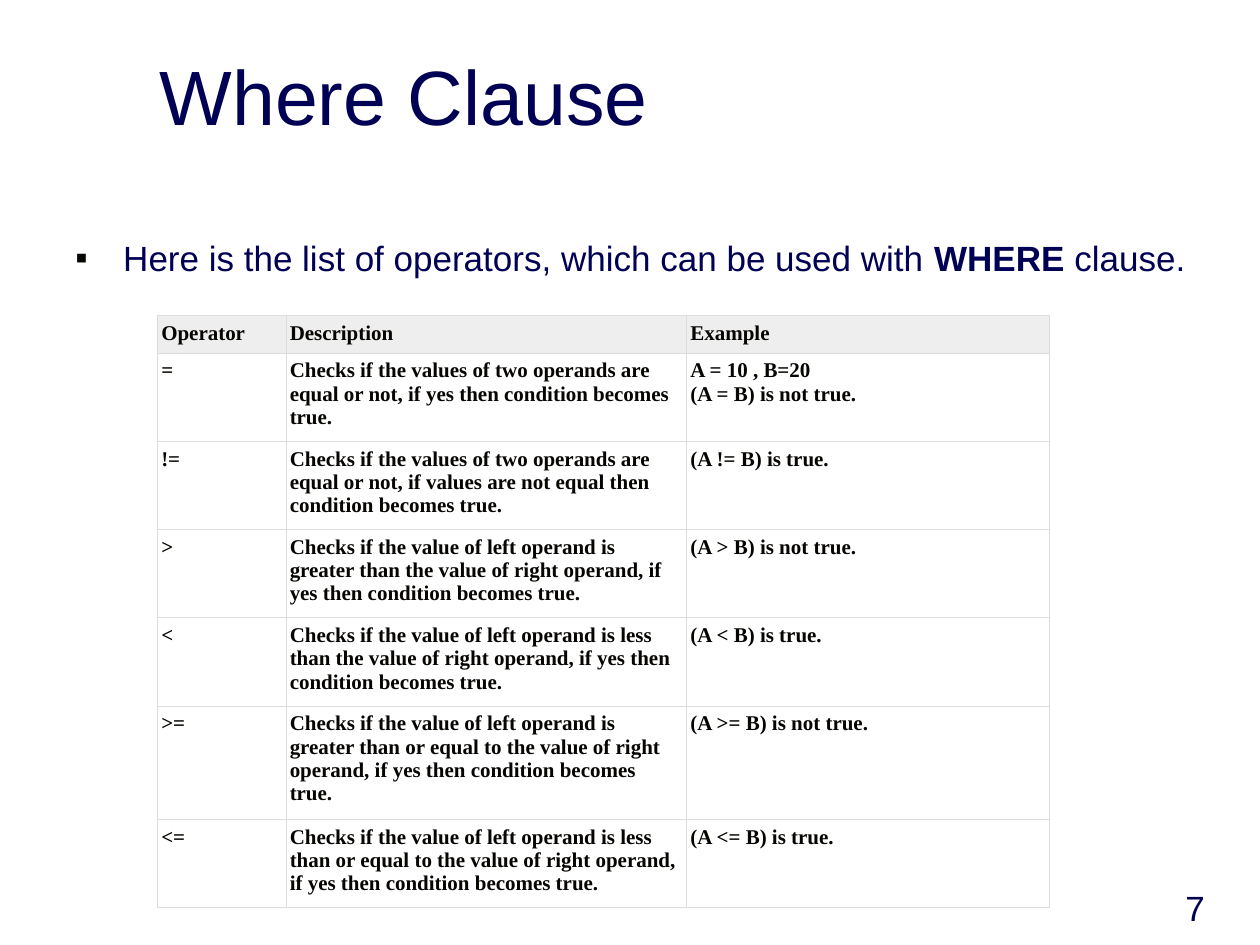
from typing import NamedTuple

from lxml.etree import SubElement
from pptx import Presentation
from pptx.dml.color import RGBColor
from pptx.enum.text import MSO_ANCHOR as Anchor, PP_ALIGN as Align
from pptx.oxml.ns import qn
from pptx.util import Inches, Pt

NAVY, INK, HEADER_FILL, BORDER = "000054", "070501", "EEEEEE", "DDDDDD"
BORDER_WIDTH = Pt(0.34)
COLUMN_WIDTHS = (1.02, 3.18, 2.88)
HEADER_HEIGHT, LINE_HEIGHT, ROW_HEIGHT = 0.28, 0.2, 0.67


class Operator(NamedTuple):
    symbol: str
    description: str
    example: str
    extra_lines: int = 0


HEADER = Operator("Operator", "Description", "Example")
OPERATORS = [
    Operator("=", "Checks if the values of two operands are equal or not, "
             "if yes then condition becomes true.", "A = 10 , B=20\n(A = B) is not true."),
    Operator("!=", "Checks if the values of two operands are equal or not, "
             "if values are not equal then condition becomes true.", "(A != B) is true."),
    Operator(">", "Checks if the value of left operand is greater than the value "
             "of right operand, if yes then condition becomes true.", "(A > B) is not true."),
    Operator("<", "Checks if the value of left operand is less than the value "
             "of right operand, if yes then condition becomes true.", "(A < B) is true."),
    Operator(">=", "Checks if the value of left operand is greater than or equal to the value "
             "of right operand, if yes then condition becomes true.", "(A >= B) is not true.", 1),
    Operator("<=", "Checks if the value of left operand is less than or equal to the value "
             "of right operand, if yes then condition becomes true.", "(A <= B) is true."),
]


def color(value: str) -> RGBColor:
    return RGBColor.from_string(value)


def style_span(span, size: float, font: str, ink: str, bold: bool = False) -> None:
    span.font.size = Pt(size)
    span.font.name = font
    span.font.color.rgb = color(ink)
    span.font.bold = bold


def add_text(page, left: float, top: float, width: float, height: float, text: str,
             size: float, anchor=Anchor.TOP, align=Align.LEFT):
    """Add a navy text box and return its paragraph."""
    box = page.shapes.add_textbox(Inches(left), Inches(top), Inches(width), Inches(height))
    frame = box.text_frame
    frame.word_wrap = True
    frame.vertical_anchor = anchor
    frame.text = text
    para = frame.paragraphs[0]
    para.alignment = align
    style_span(para.runs[0], size, "Arial", NAVY)
    return para


def add_bullet(para, mark: str, ink: str, indent: float) -> None:
    properties = para._p.get_or_add_pPr()
    properties.set("marL", str(Inches(indent)))
    properties.set("indent", str(-Inches(indent)))
    bullet_color = SubElement(properties, qn("a:buClr"))
    SubElement(bullet_color, qn("a:srgbClr"), val=ink)
    SubElement(properties, qn("a:buFont"), typeface="Arial")
    SubElement(properties, qn("a:buChar"), char=mark)


def add_borders(cell) -> None:
    properties = cell._tc.get_or_add_tcPr()
    for index, side in enumerate(("lnL", "lnR", "lnT", "lnB")):
        line = properties.makeelement(qn(f"a:{side}"), {"w": str(BORDER_WIDTH)})
        fill = SubElement(line, qn("a:solidFill"))
        SubElement(fill, qn("a:srgbClr"), val=BORDER)
        properties.insert(index, line)


def fill_cell(cell, text: str, is_header: bool) -> None:
    cell.margin_left = cell.margin_right = Inches(0.03)
    cell.margin_top = cell.margin_bottom = Inches(0.05)
    cell.text_frame.text = text
    for para in cell.text_frame.paragraphs:
        style_span(para.runs[0], 12, "Times New Roman", INK, bold=True)
    if is_header:
        cell.fill.solid()
        cell.fill.fore_color.rgb = color(HEADER_FILL)
    else:
        cell.fill.background()
    add_borders(cell)


def add_operator_table(page, left: float, top: float) -> None:
    records = [HEADER, *OPERATORS]
    heights = [HEADER_HEIGHT] + [ROW_HEIGHT + LINE_HEIGHT * item.extra_lines for item in OPERATORS]
    table = page.shapes.add_table(
        len(records), len(COLUMN_WIDTHS), Inches(left), Inches(top),
        Inches(sum(COLUMN_WIDTHS)), Inches(sum(heights))).table
    table.horz_banding = False
    for column, width in zip(table.columns, COLUMN_WIDTHS):
        column.width = Inches(width)
    for row, height, record in zip(table.rows, heights, records):
        row.height = Inches(height)
        for cell, text in zip(row.cells, record[:3]):
            fill_cell(cell, text, record is HEADER)


def main() -> None:
    deck = Presentation()
    deck.slide_width, deck.slide_height = Inches(10), Inches(7.5)
    page = deck.slides.add_slide(deck.slide_layouts[6])

    # Page number and title
    add_text(page, 7.58, 6.92, 2.08, 0.5, "7", 20, Anchor.BOTTOM, Align.RIGHT)
    add_text(page, 1.17, 0.25, 8.5, 0.92, "Where Clause", 44, Anchor.BOTTOM)

    # Introductory bullet
    intro = add_text(page, 0.5, 1.83, 9.17, 4.5,
                     "Here is the list of operators, which can be used with ", 20)
    intro.space_before = Pt(5)
    add_bullet(intro, "▪", INK, 0.38)
    for text, bold in (("WHERE", True), (" clause.", False)):
        span = intro.add_run()
        span.text = text
        style_span(span, 20, "Arial", NAVY, bold)

    # Operators and their meaning
    add_operator_table(page, 1.25, 2.5)

    deck.save("out.pptx")


if __name__ == "__main__":
    main()
